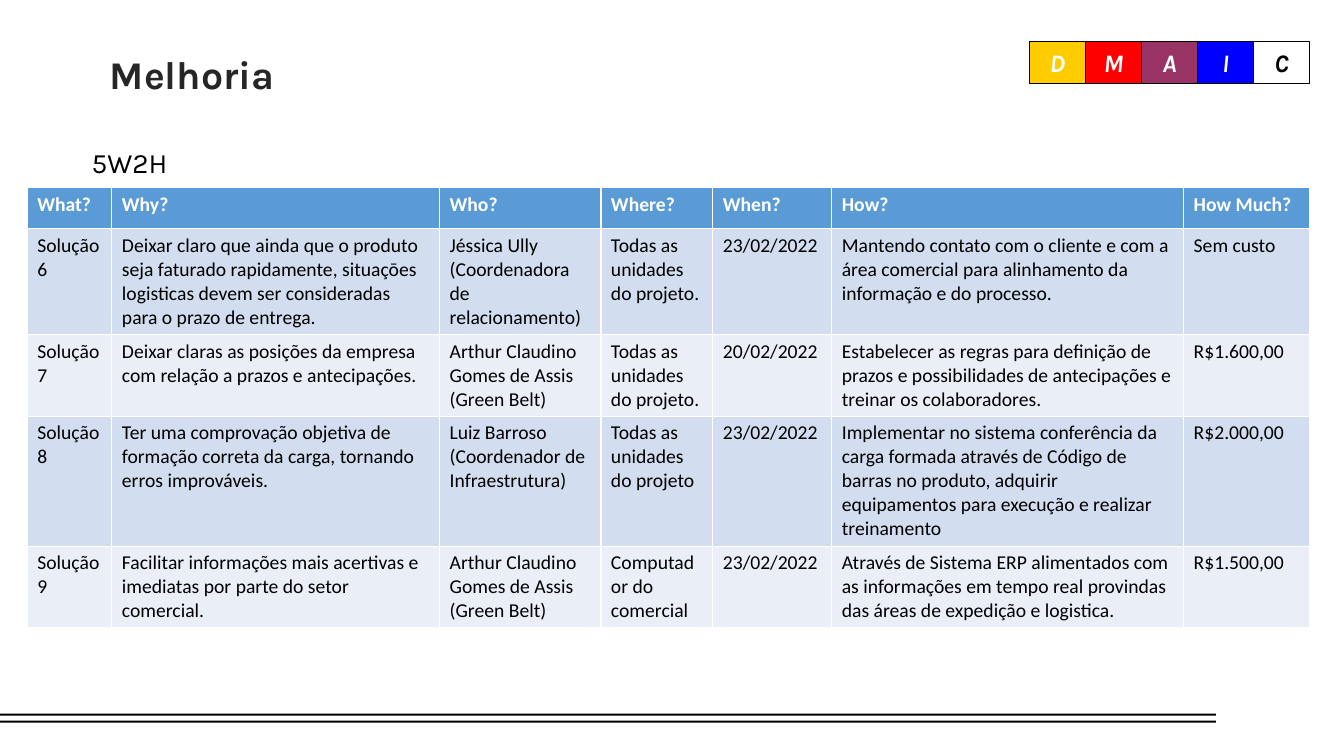
from pptx import Presentation
from pptx.dml.color import RGBColor
from pptx.enum.shapes import MSO_SHAPE
from pptx.enum.text import MSO_ANCHOR, MSO_AUTO_SIZE, PP_ALIGN
from pptx.util import Inches, Pt

RECTANGLE = MSO_SHAPE.RECTANGLE
MIDDLE = MSO_ANCHOR.MIDDLE
TOP = MSO_ANCHOR.TOP
NO_AUTOFIT = MSO_AUTO_SIZE.NONE
LEFT, CENTER, JUSTIFY = PP_ALIGN.LEFT, PP_ALIGN.CENTER, PP_ALIGN.JUSTIFY

COLORS = {
    "black": "000000", "white": "FFFFFF", "title": "262626",
    "yellow": "FFCC00", "red": "FF0000", "purple": "993366", "blue": "0000FF",
    "header": "5B9BD5", "odd_row": "D2DEEF", "even_row": "EAEFF7",
}

# Letter, fill (None for an open box), text colour
PHASES = [
    ("D", "yellow", "white"),
    ("M", "red", "white"),
    ("A", "purple", "white"),
    ("I", "blue", "white"),
    ("C", None, "black"),
]

COLUMN_WIDTHS = [0.84, 3.25, 1.6, 1.11, 1.18, 3.49, 1.25]
ROW_HEIGHTS = [0.41, 1.05, 0.81, 1.29, 0.81]
PLAN = [
    ["What?", "Why?", "Who?", "Where?", "When?", "How?", "How Much?"],
    ["Solução 6",
     "Deixar claro que ainda que o produto seja faturado rapidamente, situaçōes "
     "logisticas devem ser consideradas para o prazo de entrega.",
     "Jéssica Ully (Coordenadora de relacionamento)",
     "Todas as unidades do projeto.",
     "23/02/2022",
     "Mantendo contato com o cliente e com a área comercial para alinhamento da "
     "informação e do processo.",
     "Sem custo"],
    ["Solução 7",
     "Deixar claras as posições da empresa com relação a prazos e antecipações.",
     "Arthur Claudino Gomes de Assis (Green Belt)",
     "Todas as unidades do projeto.",
     "20/02/2022",
     "Estabelecer as regras para definição de prazos e possibilidades de "
     "antecipações e treinar os colaboradores.",
     "R$1.600,00"],
    ["Solução 8",
     "Ter uma comprovação objetiva de formação correta da carga, tornando erros "
     "improváveis.",
     "Luiz Barroso (Coordenador de Infraestrutura)",
     "Todas as unidades do projeto",
     "23/02/2022",
     "Implementar no sistema conferência da carga formada através de Código de "
     "barras no produto, adquirir equipamentos para execução e realizar treinamento",
     "R$2.000,00"],
    ["Solução 9",
     "Facilitar informações mais acertivas e imediatas por parte do setor comercial.",
     "Arthur Claudino Gomes de Assis (Green Belt)",
     "Computador do comercial",
     "23/02/2022",
     "Através de Sistema ERP alimentados com as informações em tempo real "
     "provindas das áreas de expedição e logistica.",
     "R$1.500,00"],
]


def rgb(name):
    return RGBColor.from_string(COLORS[name])


def write(frame, text, color, para_format=None, **font_format):
    """Put one paragraph with one formatted span into a text frame."""
    para = frame.paragraphs[0]
    for name, value in (para_format or {}).items():
        setattr(para, name, value)
    span = para.add_run()
    span.text = text
    span.font.color.rgb = rgb(color)
    for name, value in font_format.items():
        setattr(span.font, name, value)


def add_box(page, left, top, width, height, fill=None, line=None):
    box = page.shapes.add_shape(
        RECTANGLE, Inches(left), Inches(top), Inches(width), Inches(height))
    box.shadow.inherit = False
    if fill:
        box.fill.solid()
        box.fill.fore_color.rgb = rgb(fill)
    else:
        box.fill.background()
    if line:
        box.line.color.rgb = rgb(line)
        box.line.width = Pt(0.75)
    else:
        box.line.fill.background()
    return box


def add_footer_rules(page):
    for top in (7.08, 7.15):
        add_box(page, 0, top, 12.06, 0.02, "black")


def set_title(page, text):
    title = page.shapes.title
    title.left, title.top = Inches(0.99), Inches(0.39)
    title.width, title.height = Inches(11.33), Inches(0.74)
    frame = title.text_frame
    frame.auto_size = NO_AUTOFIT
    frame.vertical_anchor = MIDDLE
    write(frame, text, "title", {"alignment": LEFT, "line_spacing": 0.9},
          name="Karla", size=Pt(28), bold=True)


def add_phase_bar(page):
    width = 0.556
    for index, (letter, fill, color) in enumerate(PHASES):
        box = add_box(page, 10.21 + index * width, 0.41, width, 0.42, fill, "black")
        frame = box.text_frame
        frame.word_wrap = False
        frame.vertical_anchor = MIDDLE
        for side in ("left", "top", "right", "bottom"):
            setattr(frame, f"margin_{side}", 0)
        write(frame, letter, color, {"alignment": CENTER},
              name="Karla", size=Pt(18), bold=True, italic=True)


def add_subtitle(page, text):
    box = page.shapes.add_textbox(
        Inches(0.81), Inches(1.43), Inches(11.61), Inches(0.42))
    frame = box.text_frame
    frame.word_wrap = True
    frame.vertical_anchor = TOP
    write(frame, text, "black",
          {"alignment": JUSTIFY, "line_spacing": 0.9, "space_before": Pt(10)},
          name="Karla", size=Pt(20))


def add_plan_table(page):
    table = page.shapes.add_table(
        len(PLAN), len(COLUMN_WIDTHS), Inches(0.27), Inches(1.86),
        Inches(sum(COLUMN_WIDTHS)), Inches(sum(ROW_HEIGHTS))).table
    for column, width in zip(table.columns, COLUMN_WIDTHS):
        column.width = Inches(width)
    for index, (row, height, texts) in enumerate(zip(table.rows, ROW_HEIGHTS, PLAN)):
        row.height = Inches(height)
        is_header = index == 0
        fill = "header" if is_header else "odd_row" if index % 2 else "even_row"
        for cell, text in zip(row.cells, texts):
            cell.fill.solid()
            cell.fill.fore_color.rgb = rgb(fill)
            write(cell.text_frame, text, "white" if is_header else "black",
                  name="Calibri", size=Pt(14), bold=is_header)


def main():
    deck = Presentation()
    deck.slide_width, deck.slide_height = Inches(13.33), Inches(7.5)
    page = deck.slides.add_slide(deck.slide_layouts.get_by_name("Title Only"))
    add_footer_rules(page)
    set_title(page, "Melhoria")
    add_phase_bar(page)
    add_subtitle(page, "5W2H")
    add_plan_table(page)
    deck.save("out.pptx")


if __name__ == "__main__":
    main()
